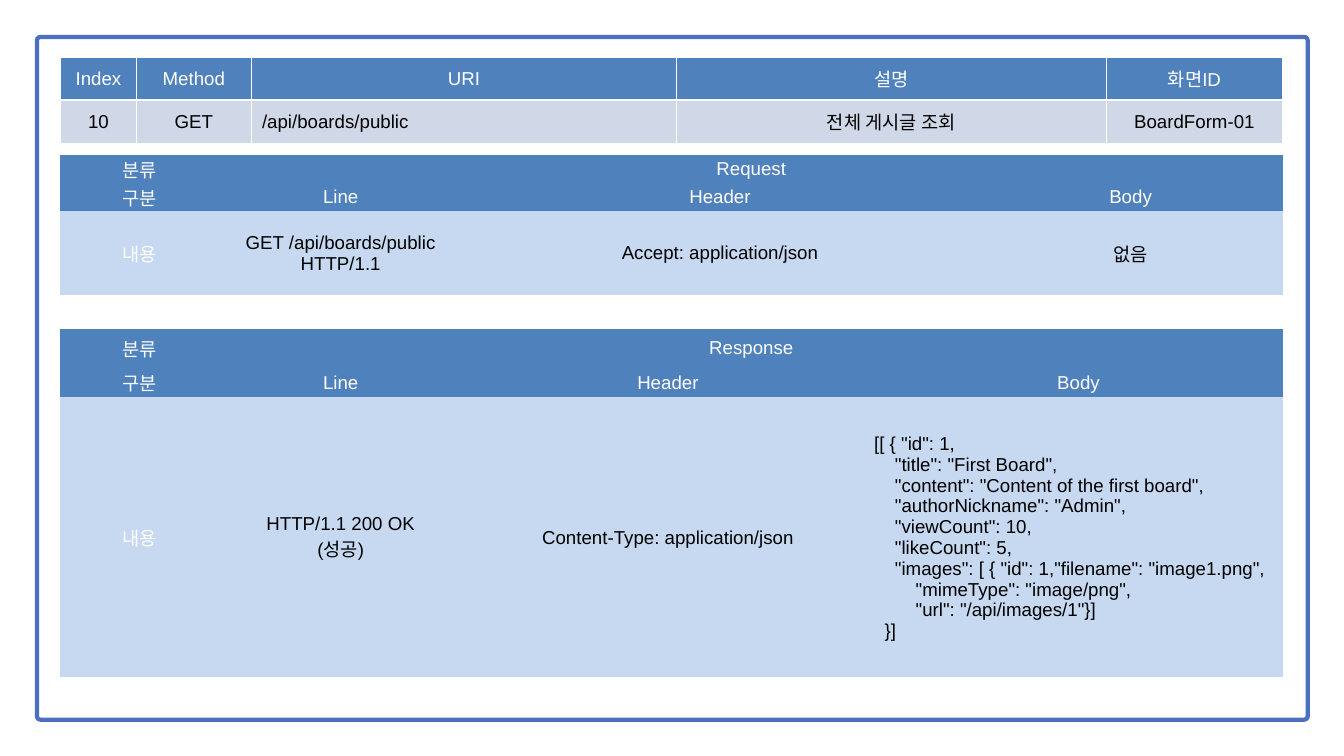
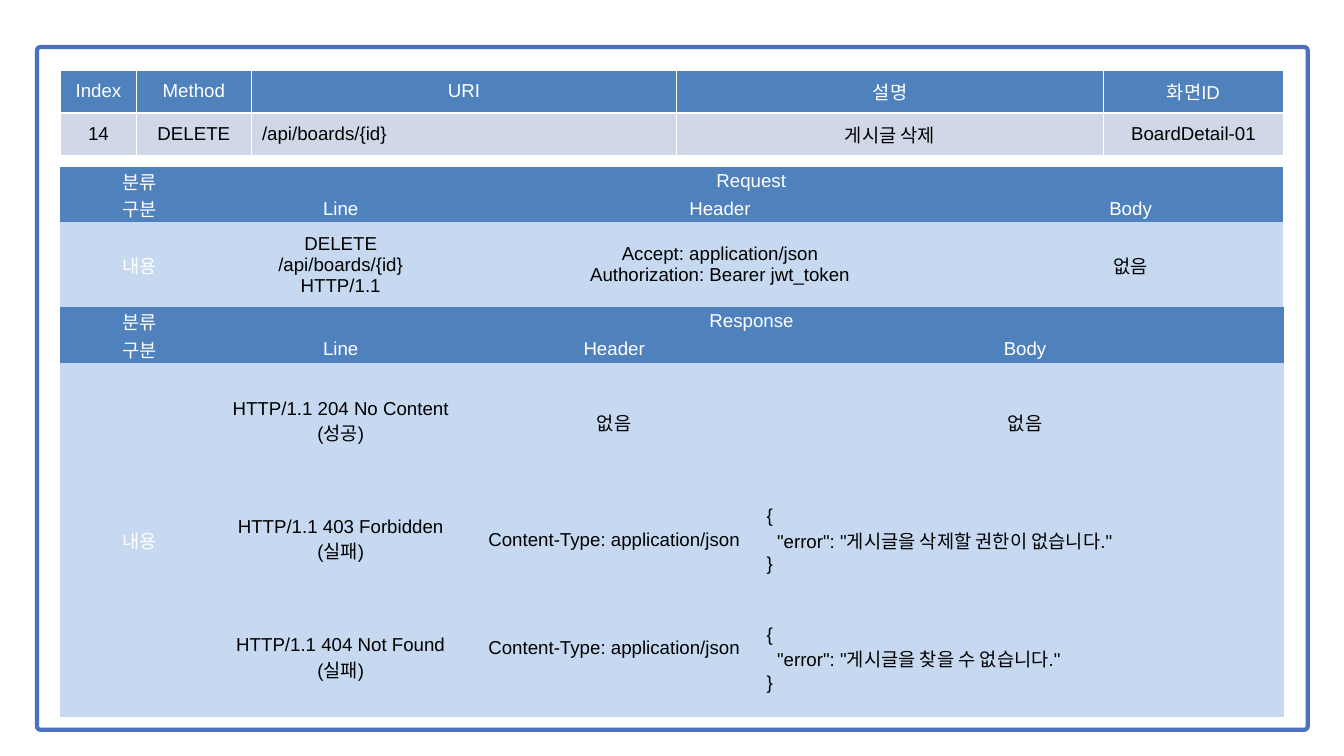
from lxml import etree
from pptx import Presentation
from pptx import util as u
from pptx.dml.color import RGBColor
from pptx.enum import shapes, text
from pptx.oxml.ns import qn

PX = 9144  # EMU; 100 px to the inch
FONT = "Arial"
WHITE = RGBColor(0xFF, 0xFF, 0xFF)
BLACK = RGBColor(0x00, 0x00, 0x00)
FRAME_BLUE = RGBColor(0x4C, 0x6F, 0xBF)
HEAD_BLUE = RGBColor(0x4F, 0x81, 0xBD)
BODY_BLUE = RGBColor(0xC6, 0xD9, 0xF1)
INDEX_GREY = RGBColor(0xD0, 0xD8, 0xE8)
NO_STYLE = "{2D5ABB26-0587-4C30-8999-92F81FD0307C}"
LEFT, WIDTH = 90, 1821
INDEX_HEAD = ["Index", "Method", "URI", "설명", "화면ID"]
PART_HEAD = ["구분", "Line", "Header", "Body"]


def add_grid(s, top, height, cols, rows, grid, heads, insets, body_fill):
    """Add a table; head rows are dark with white text, the rest light."""
    gf = s.shapes.add_table(len(rows), len(cols), LEFT * PX, top * PX, WIDTH * PX, height * PX)
    tbl = gf.table
    tbl.first_row = tbl.horz_banding = False
    tbl._tbl.tblPr.find(qn("a:tableStyleId")).text = NO_STYLE
    for col, w in zip(tbl.columns, cols):
        col.width = w * PX
    for row, h in zip(tbl.rows, rows):
        row.height = h * PX
    gf.height = height * PX
    for i, line in enumerate(grid):
        for j, words in enumerate(line):
            cell = tbl.cell(i, j)
            cell.margin_left, cell.margin_top, cell.margin_right, cell.margin_bottom = (
                n * PX for n in insets)
            cell.vertical_anchor = text.MSO_ANCHOR.MIDDLE
            cell.fill.solid()
            cell.fill.fore_color.rgb = HEAD_BLUE if i < heads else body_fill
            white = i < heads or words == "내용"
            code = words[:1] in ("{", "[", "/")
            tf = cell.text_frame
            for n, part in enumerate(words.split("\n") if words else []):
                p = tf.paragraphs[0] if n == 0 else tf.add_paragraph()
                p.alignment = text.PP_ALIGN.LEFT if code else text.PP_ALIGN.CENTER
                r = p.add_run()
                r.text = part
                r.font.size = u.Pt(20)
                r.font.name = FONT
                r.font.color.rgb = WHITE if white else BLACK
    return tbl


def add_borders(tbl):
    """White cell borders, heavier below the head row."""
    for i, row in enumerate(tbl.rows):
        for cell in row.cells:
            tc_pr = cell._tc.get_or_add_tcPr()
            for n, side in enumerate(("lnL", "lnR", "lnT", "lnB")):
                points = 3 if i == 0 and side == "lnB" else 1
                ln = etree.Element(qn("a:" + side), w=str(u.Pt(points)))
                fill = etree.SubElement(ln, qn("a:solidFill"))
                etree.SubElement(fill, qn("a:srgbClr"), val=str(WHITE))
                tc_pr.insert(n, ln)


# What each slide says: index row, request and response
RESPONSE_JSON = """[[ { "id": 1,
    "title": "First Board",
    "content": "Content of the first board",
    "authorNickname": "Admin",
    "viewCount": 10,
    "likeCount": 5,
    "images": [ { "id": 1,"filename": "image1.png",
        "mimeType": "image/png",
        "url": "/api/images/1"}]
  }]"""
JSON_TYPE = "Content-Type: application/json"
apis = [
    {
        "frame_top": 55,
        "index": (85, [113, 171, 633, 639, 263],
                  ["10", "GET", "/api/boards/public", "전체 게시글 조회", "BoardForm-01"]),
        "parts": [
            ("Request", 231, 195, [236, 362, 767, 455], [25, 23, 126],
             [["내용", "GET /api/boards/public HTTP/1.1", "Accept: application/json", "없음"]]),
            ("Response", 489, 519, [236, 362, 612, 610], [58, 44, 417],
             [["내용", "HTTP/1.1 200 OK\n(성공)", JSON_TYPE, RESPONSE_JSON]]),
        ],
    },
    {
        "frame_top": 70,
        "index": (104, [113, 171, 633, 635, 268],
                  ["14", "DELETE", "/api/boards/{id}", "게시글 삭제", "BoardDetail-01"]),
        "parts": [
            ("Request", 248, 195, [236, 362, 767, 455], [25, 23, 126],
             [["내용", "DELETE\n/api/boards/{id}\nHTTP/1.1",
               "Accept: application/json\nAuthorization: Bearer jwt_token", "없음"]]),
            ("Response", 457, 598, [236, 362, 452, 771], [33, 33, 176, 176, 176],
             [["내용", "HTTP/1.1 204 No Content\n(성공)", "없음", "없음"],
              ["", "HTTP/1.1 403 Forbidden\n(실패)", JSON_TYPE,
               '{\n  "error": "게시글을 삭제할 권한이 없습니다."\n}'],
              ["", "HTTP/1.1 404 Not Found\n(실패)", JSON_TYPE,
               '{\n  "error": "게시글을 찾을 수 없습니다."\n}']]),
        ],
    },
]

prs = Presentation()
prs.slide_width, prs.slide_height = 2000 * PX, 1125 * PX

for api in apis:
    s = prs.slides.add_slide(prs.slide_layouts[6])

    # Rounded frame
    sp = s.shapes.add_shape(shapes.MSO_SHAPE.ROUNDED_RECTANGLE,
                            55 * PX, api["frame_top"] * PX, 1891 * PX, 1016 * PX)
    sp.adjustments[0] = 0.005
    sp.shadow.inherit = False
    sp.fill.solid()
    sp.fill.fore_color.rgb = WHITE
    sp.line.color.rgb = FRAME_BLUE
    sp.line.width = u.Pt(4.5)

    # Request and response tables
    for name, top, height, cols, rows, body in api["parts"]:
        grid = [["분류", name, "", ""], PART_HEAD] + body
        tbl = add_grid(s, top, height, cols, rows, grid, 2, (1, 1, 1, 0), BODY_BLUE)
        tbl.cell(0, 1).merge(tbl.cell(0, 3))
        if len(body) > 1:
            tbl.cell(2, 0).merge(tbl.cell(len(rows) - 1, 0))
            tbl.cell(len(rows) - 1, 2).margin_bottom = 32 * PX  # last header sits higher

    # Index table
    top, cols, values = api["index"]
    tbl = add_grid(s, top, 128, cols, [64, 64], [INDEX_HEAD, values], 1,
                   (16, 8, 16, 8), INDEX_GREY)
    add_borders(tbl)

prs.save("out.pptx")
